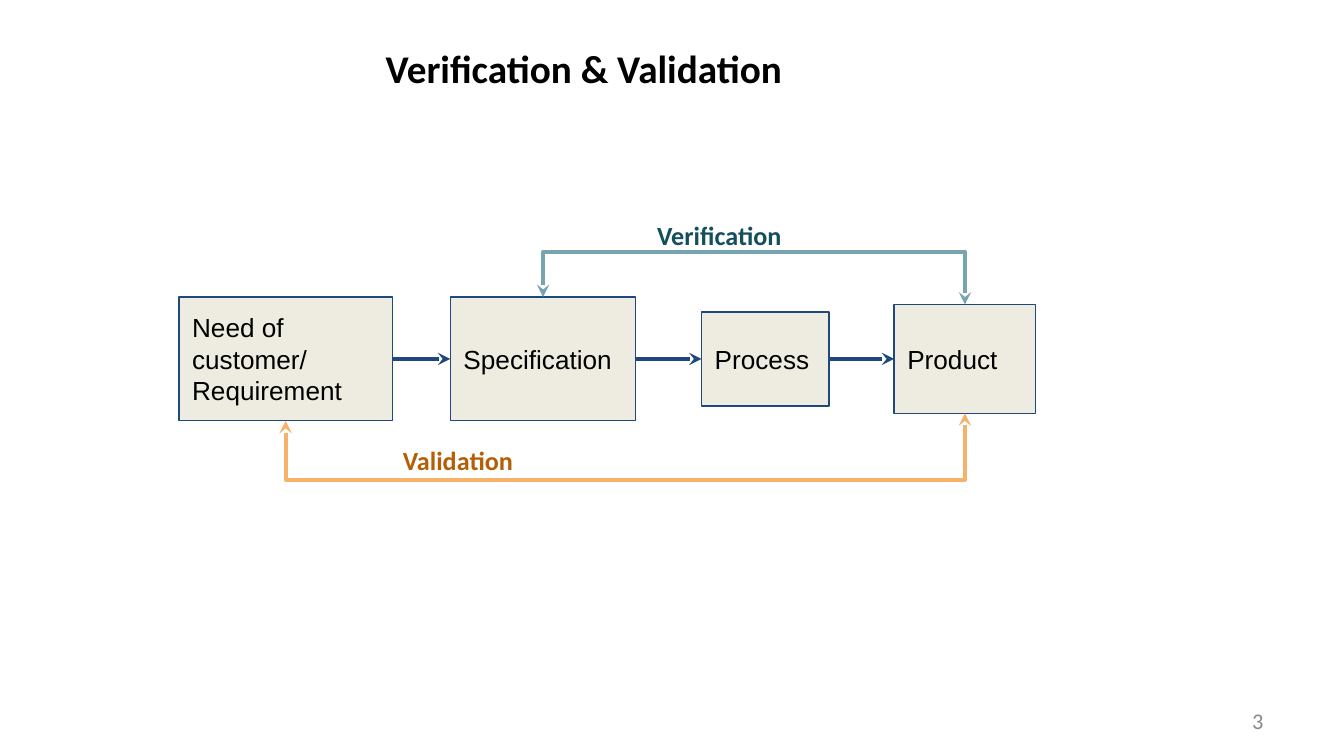
import pptx
import pptx.util
import pptx.dml.color
import pptx.enum.shapes
import pptx.enum.text
import pptx.oxml.ns
import pptx.oxml.xmlchemy

Pt = pptx.util.Pt
RGBColor = pptx.dml.color.RGBColor
Align = pptx.enum.text.PP_ALIGN
Anchor = pptx.enum.text.MSO_ANCHOR
Connector = pptx.enum.shapes.MSO_CONNECTOR

BLACK = RGBColor(0x00, 0x00, 0x00)
GREY = RGBColor(0x89, 0x89, 0x89)
CREAM = RGBColor(0xEE, 0xEC, 0xE1)
NAVY = RGBColor(0x1F, 0x49, 0x7D)
TEAL = RGBColor(0x76, 0xA5, 0xAF)
DARK_TEAL = RGBColor(0x13, 0x4F, 0x5C)
ORANGE = RGBColor(0xF6, 0xB2, 0x6B)
DARK_ORANGE = RGBColor(0xB4, 0x5F, 0x06)


class FlowSlide:
    heading_font = "Calibri"
    box_font = "Arial"
    text_size = 14
    inset = 7.2
    middle = 192.3

    def __init__(self, presentation):
        self.slide = presentation.slides.add_slide(presentation.slide_layouts[5])
        self.shapes = self.slide.shapes

    def set_text(self, shape, text, font, size, color, bold=False,
                 align=Align.LEFT, anchor=Anchor.TOP):
        frame = shape.text_frame
        frame.word_wrap = True
        frame.auto_size = pptx.enum.text.MSO_AUTO_SIZE.NONE
        frame.vertical_anchor = anchor
        frame.margin_left = frame.margin_right = Pt(self.inset)
        frame.margin_top = frame.margin_bottom = Pt(self.inset)
        paragraph = frame.paragraphs[0]
        paragraph.alignment = align
        run = paragraph.add_run()
        run.text = text
        run.font.name = font
        run.font.size = Pt(size)
        run.font.bold = bold
        run.font.color.rgb = color
        return paragraph

    def title(self, text, left, top, width, height, indent):
        shape = self.shapes.title
        shape.left, shape.top = Pt(left), Pt(top)
        shape.width, shape.height = Pt(width), Pt(height)
        paragraph = self.set_text(shape, text, self.heading_font, 21, BLACK, bold=True)
        properties = paragraph._p.get_or_add_pPr()
        properties.set("marL", str(Pt(indent)))
        properties.set("indent", str(Pt(indent)))

    def label(self, text, left, top, width, height, color, size=text_size, **style):
        shape = self.shapes.add_textbox(Pt(left), Pt(top), Pt(width), Pt(height))
        self.set_text(shape, text, self.heading_font, size, color, **style)

    def box(self, text, left, width, height):
        shape = self.shapes.add_shape(
            pptx.enum.shapes.MSO_SHAPE.RECTANGLE,
            Pt(left), Pt(self.middle - height / 2), Pt(width), Pt(height))
        shape.shadow.inherit = False
        shape.fill.solid()
        shape.fill.fore_color.rgb = CREAM
        shape.line.color.rgb = NAVY
        shape.line.width = Pt(0.75)
        self.set_text(shape, text, self.box_font, self.text_size, BLACK,
                      anchor=Anchor.MIDDLE)
        return shape

    def finish_line(self, connector, color, ends):
        connector.line.color.rgb = color
        connector.line.width = Pt(2.25)
        properties = connector._element.spPr
        line = properties.find(pptx.oxml.ns.qn("a:ln"))
        for end in ends:
            arrowhead = pptx.oxml.xmlchemy.OxmlElement("a:" + end)
            arrowhead.set("type", "stealth")
            line.append(arrowhead)
        properties.append(pptx.oxml.xmlchemy.OxmlElement("a:effectLst"))

    def arrow(self, source, target):
        connector = self.shapes.add_connector(Connector.STRAIGHT, 0, 0, 0, 0)
        connector.begin_connect(source, 3)
        connector.end_connect(target, 1)
        self.finish_line(connector, NAVY, ["tailEnd"])

    def loop(self, source, target, lane, color):
        above = Pt(lane) < source.top
        start_x = source.left + source.width // 2
        end_x = target.left + target.width // 2
        start_y = source.top if above else source.top + source.height
        end_y = target.top if above else target.top + target.height
        span, drop = end_x - start_x, abs(end_y - start_y)
        left = (start_x + end_x - drop) // 2
        top = (start_y + end_y - span) // 2
        near, far = (left + drop, left) if above else (left, left + drop)
        connector = self.shapes.add_connector(Connector.ELBOW, near, top, far, top + span)
        properties = connector._element.spPr
        properties.find(pptx.oxml.ns.qn("a:xfrm")).set("rot", str(270 * 60000))
        guide = pptx.oxml.xmlchemy.OxmlElement("a:gd")
        guide.set("name", "adj1")
        guide.set("fmla", f"val {-round(abs(Pt(lane) - start_y) / drop * 100000)}")
        geometry = properties.find(pptx.oxml.ns.qn("a:prstGeom"))
        geometry.get_or_add_avLst().append(guide)
        self.finish_line(connector, color, ["headEnd", "tailEnd"])


presentation = pptx.Presentation()
presentation.slide_width, presentation.slide_height = Pt(720), Pt(405)
flow = FlowSlide(presentation)

flow.title("Verification & Validation", 127.4, 16.6, 393, 40.3, 36)
boxes = [flow.box(*step) for step in (
    ("Need of customer/ Requirement", 95.8, 114.5, 66.4),
    ("Specification", 241.2, 99.4, 66.4),
    ("Process", 375.8, 68.4, 50.4),
    ("Product", 479, 75.8, 58.3),
)]
for source, target in zip(boxes, boxes[1:]):
    flow.arrow(source, target)

requirement, specification, process, product = boxes
flow.loop(specification, product, 134.9, TEAL)
flow.loop(requirement, product, 257, ORANGE)
flow.label("Verification", 344.9, 110.2, 87.1, 31.7, DARK_TEAL, bold=True)
flow.label("Validation", 208.8, 231.1, 252, 31.7, DARK_ORANGE, bold=True)
flow.label("3", 516.2, 375.1, 167.8, 21.6, GREY, size=12,
           align=Align.RIGHT, anchor=Anchor.MIDDLE)

presentation.save("out.pptx")
